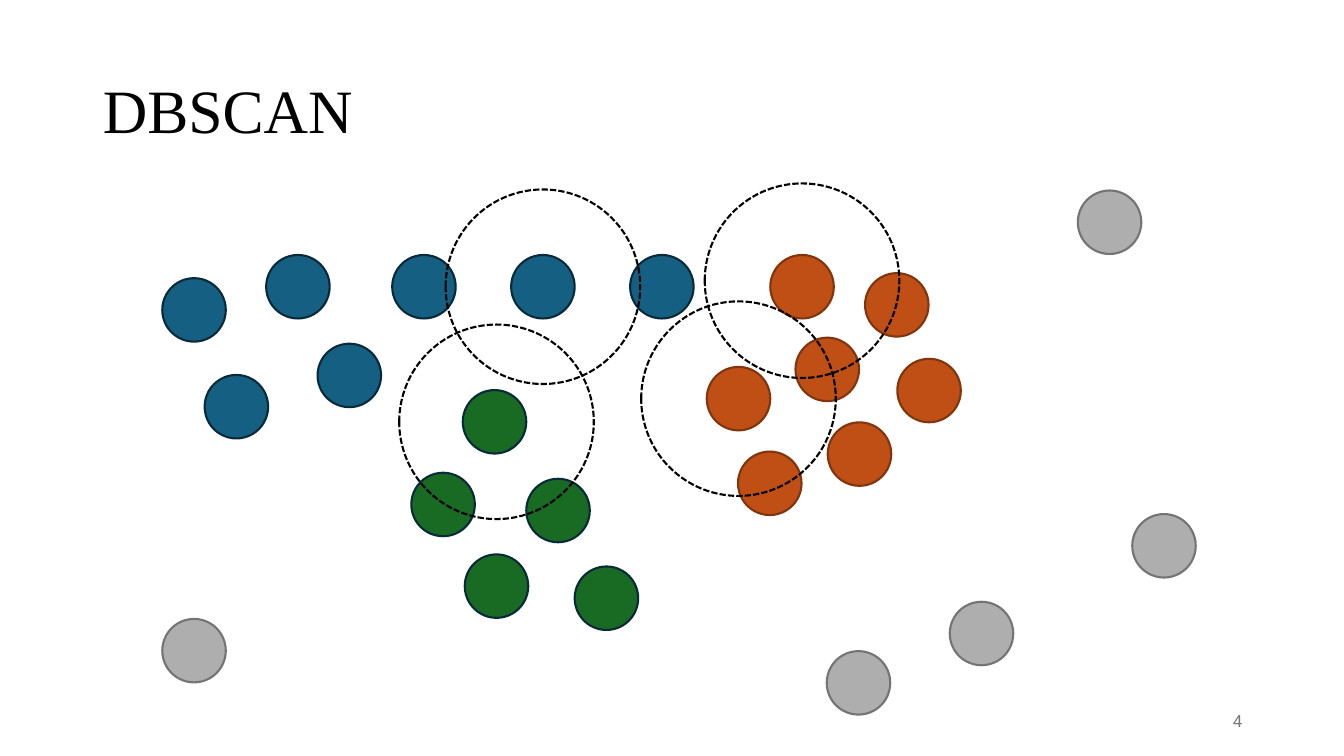
from pptx import Presentation
from pptx.dml.color import RGBColor
from pptx.enum.dml import MSO_LINE
from pptx.enum.shapes import MSO_SHAPE
from pptx.enum.text import MSO_ANCHOR, PP_ALIGN
from pptx.util import Inches, Pt

POINT_SIZE = 0.63
RADIUS_SIZE = 1.93

CLUSTERS = [
    ("156082", "092A39", [(1.61, 2.76), (2.03, 3.72), (3.15, 3.41), (3.89, 2.53),
                          (6.25, 2.53), (5.07, 2.53), (2.64, 2.53)]),
    ("196B24", "092A39", [(4.08, 4.69), (5.22, 4.75), (4.61, 5.5), (5.7, 5.62),
                          (4.59, 3.87)]),
    ("C04F15", "80350E", [(7.64, 2.53), (8.21, 4.19), (7.89, 3.35), (8.9, 3.56),
                          (8.58, 2.71), (7.01, 3.64), (7.32, 4.48)]),
    ("AEAEAE", "747474", [(10.69, 1.89), (8.2, 6.46), (11.23, 5.1), (1.61, 6.14),
                          (9.42, 5.97)]),
]
NEIGHBOURHOODS = [(4.42, 1.88), (6.99, 1.82), (6.36, 2.99), (3.96, 3.22)]

TITLE_FONT = {"name": "Times New Roman", "size": Pt(44)}
NUMBER_FONT = {"name": "Roboto", "size": Pt(12)}


def rgb(color):
    """Turn a hex string into a colour."""
    return RGBColor.from_string(color)


def set_attrs(target, values):
    """Set each attribute of target from a dict."""
    for name, value in values.items():
        setattr(target, name, value)


def place(sp, left, top, width, height):
    """Move and size a shape, in inches."""
    set_attrs(sp, {"left": Inches(left), "top": Inches(top),
                   "width": Inches(width), "height": Inches(height)})


def write(sp, text, font, color, align, spacing=None):
    """Put one formatted line of text in a shape, centred vertically."""
    tf = sp.text_frame
    set_attrs(tf, {"word_wrap": True, "vertical_anchor": MSO_ANCHOR.MIDDLE})
    p = tf.paragraphs[0]
    set_attrs(p, {"alignment": align, "line_spacing": spacing})
    r = p.add_run()
    r.text = text
    set_attrs(r.font, font)
    r.font.color.rgb = rgb(color)


def add_circle(s, left, top, size, line, fill=None, dash=None):
    """Add a circle, filled or hollow."""
    sp = s.shapes.add_shape(MSO_SHAPE.OVAL, Inches(left), Inches(top),
                            Inches(size), Inches(size))
    sp.shadow.inherit = False
    if fill:
        sp.fill.solid()
        sp.fill.fore_color.rgb = rgb(fill)
    else:
        sp.fill.background()
    sp.line.color.rgb = rgb(line)
    set_attrs(sp.line, {"width": Pt(1.5), "dash_style": dash})


def main():
    """Build the slide and save it."""
    prs = Presentation()
    set_attrs(prs, {"slide_width": Inches(13.33), "slide_height": Inches(7.5)})
    s = prs.slides.add_slide(prs.slide_layouts[5])

    title = s.shapes.title
    place(title, 0.92, 0.4, 11.5, 1.45)
    write(title, "DBSCAN", TITLE_FONT, "000000", PP_ALIGN.LEFT, 0.9)
    number = s.shapes.add_textbox(Inches(9.42), Inches(6.95), Inches(3), Inches(0.4))
    write(number, "4", NUMBER_FONT, "797979", PP_ALIGN.RIGHT)

    for fill, line, points in CLUSTERS:
        for left, top in points:
            add_circle(s, left, top, POINT_SIZE, line, fill)
    for left, top in NEIGHBOURHOODS:
        add_circle(s, left, top, RADIUS_SIZE, "000000", dash=MSO_LINE.SQUARE_DOT)

    prs.save("out.pptx")


if __name__ == "__main__":
    main()
